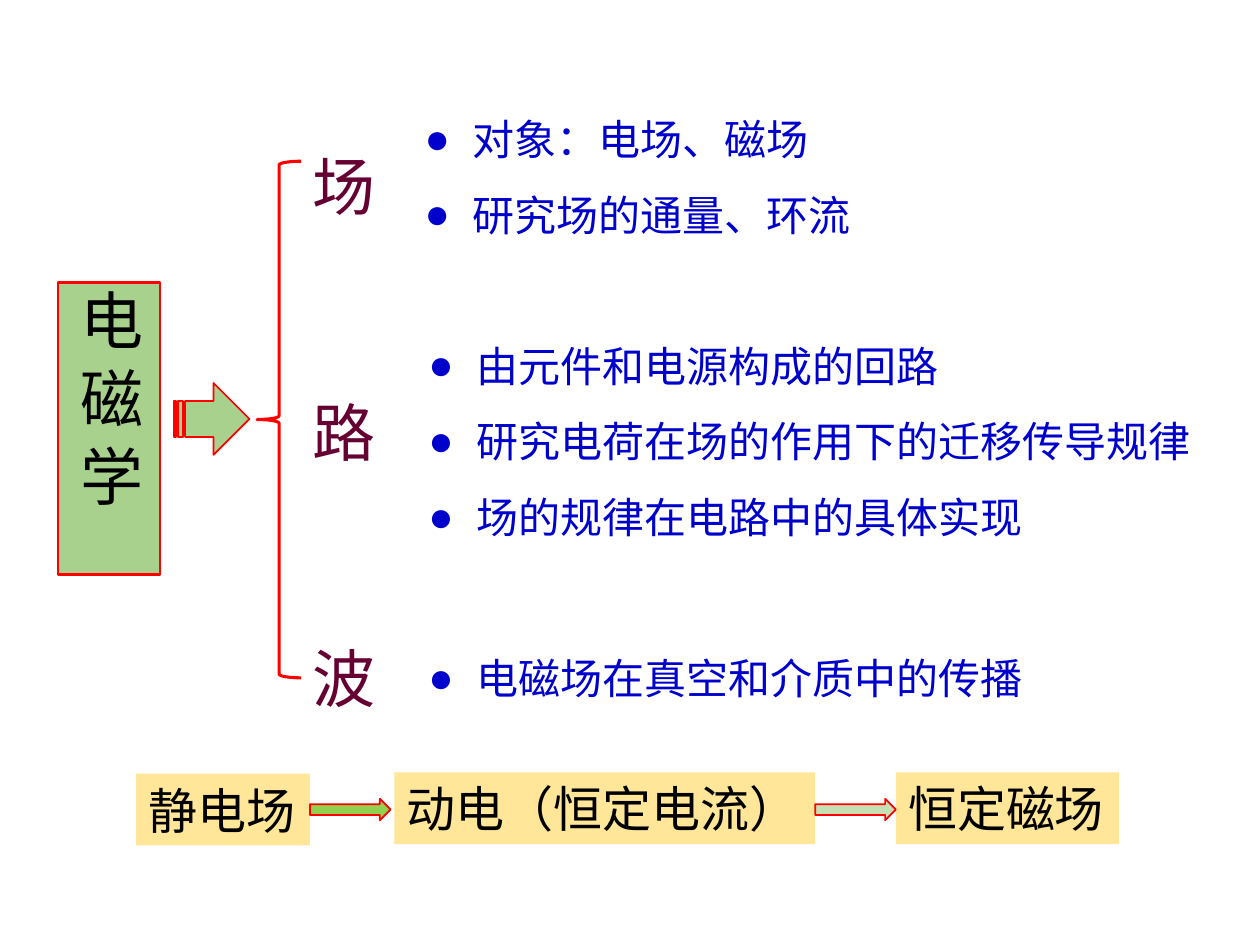
import pptx
import pptx.util
import pptx.dml.color
import pptx.enum.shapes
import pptx.enum.text
import pptx.oxml
import pptx.oxml.ns

FONT = "Noto Sans CJK SC"
COLORS = {
    "list": "0000CC", "branch": "660033", "text": "000000", "outline": "FF0000",
    "subject": "A9D18E", "stage": "FFE699", "first_step": "92D050", "second_step": "C5E0B4",
}
# The slide is a grid of 100 columns by 75 rows
COLUMN = pptx.util.Inches(10) / 100
ROW = pptx.util.Inches(7.5) / 75
SHAPE = pptx.enum.shapes.MSO_SHAPE
ANCHOR = pptx.enum.text.MSO_ANCHOR
LEFT = pptx.enum.text.PP_ALIGN.LEFT


def rgb(name):
    return pptx.dml.color.RGBColor.from_string(COLORS[name])


def cells(left, top, width, height):
    sizes = (left * COLUMN, top * ROW, width * COLUMN, height * ROW)
    return dict(zip(("left", "top", "width", "height"), map(round, sizes)))


def set_all(target, values):
    for key, value in values.items():
        setattr(target, key, value)


def write(shape, lines, size, color, frame_format, paragraph_format):
    frame = shape.text_frame
    frame.text = "\n".join(lines)
    set_all(frame, {"auto_size": pptx.enum.text.MSO_AUTO_SIZE.NONE, **frame_format})
    for paragraph in frame.paragraphs:
        set_all(paragraph, {"alignment": LEFT, "space_before": pptx.util.Pt(0),
                            **paragraph_format})
        for run in paragraph.runs:
            set_all(run.font, {"size": pptx.util.Pt(size), "bold": False, "name": FONT})
            run.font.color.rgb = rgb(color)
            east_asian = pptx.oxml.parse_xml(
                f'<a:ea {pptx.oxml.ns.nsdecls("a")} typeface="{FONT}"/>')
            run.font._element.find(pptx.oxml.ns.qn("a:latin")).addnext(east_asian)
    return frame


def paint(shape, fill=None, line_width=None):
    if fill:
        shape.fill.solid()
        shape.fill.fore_color.rgb = rgb(fill)
    else:
        shape.fill.background()
    if line_width:
        shape.line.color.rgb = rgb("outline")
        shape.line.width = pptx.util.Pt(line_width)
    else:
        shape.line.fill.background()


def add_subject(title):
    set_all(title, cells(4.6, 22.4, 8.1, 23.2))
    paint(title, "subject", 1.5)
    frame = write(title, ["电 磁 学"], 36, "text", {"vertical_anchor": ANCHOR.TOP},
                  {"line_spacing": pptx.util.Pt(43)})
    frame._txBody.bodyPr.set("vert", "eaVert")


def add_branches(body):
    set_all(body, cells(18.8, 7.8, 15.4, 49))
    frame = write(body, ["场", "路", "波"], 36, "branch",
                  {"vertical_anchor": ANCHOR.TOP, "margin_top": pptx.util.Inches(0.27)},
                  {"line_spacing": pptx.util.Pt(52), "space_after": pptx.util.Pt(88.4)})
    for paragraph in frame.paragraphs:
        paragraph._p.get_or_add_pPr().set("marL", str(pptx.util.Inches(0.5)))


def add_topics(body, place, topics):
    set_all(body, cells(*place))
    frame = write(body, topics, 24, "list",
                  {"vertical_anchor": ANCHOR.TOP, "margin_top": pptx.util.Inches(0.09)},
                  {"line_spacing": pptx.util.Pt(43.2)})
    for paragraph in frame.paragraphs:
        properties = paragraph._p.get_or_add_pPr()
        properties.set("marL", str(pptx.util.Inches(1.38)))
        properties.set("indent", str(pptx.util.Inches(-0.38)))
        properties.append(pptx.oxml.parse_xml(
            f'<a:buChar {pptx.oxml.ns.nsdecls("a")} char="●"/>'))


def add_figure(slide, kind, place, fill=None, line_width=None):
    figure = slide.shapes.add_shape(kind, **cells(*place))
    figure.shadow.inherit = False
    paint(figure, fill, line_width)
    return figure


def add_stage(slide, place, name):
    stage = add_figure(slide, SHAPE.RECTANGLE, place, "stage")
    write(stage, [name], 28, "text",
          {"vertical_anchor": ANCHOR.MIDDLE, "word_wrap": False}, {})


def main():
    deck = pptx.Presentation()
    deck.slide_width, deck.slide_height = round(100 * COLUMN), round(75 * ROW)
    # The comparison layout has a title and four bodies
    slide = deck.slides.add_slide(deck.slide_layouts[4])
    subject, field, circuit, branches, wave = slide.placeholders

    # Topics of each branch
    add_topics(field, (22.7, 6.1, 50.5, 12.2), ["对象：电场、磁场", "研究场的通量、环流"])
    add_topics(circuit, (23, 24.1, 76.1, 18.2),
               ["由元件和电源构成的回路", "研究电荷在场的作用下的迁移传导规律",
                "场的规律在电路中的具体实现"])
    add_topics(wave, (23, 48.9, 61.7, 6.1), ["电磁场在真空和介质中的传播"])

    # Order of study along the bottom
    add_stage(slide, (10.8, 61.4, 13.8, 5.7), "静电场")
    add_stage(slide, (31.3, 61.3, 33.4, 5.7), "动电（恒定电流）")
    add_stage(slide, (71.1, 61.3, 17.7, 5.7), "恒定磁场")
    for left, fill in ((24.6, "first_step"), (64.7, "second_step")):
        add_figure(slide, SHAPE.RIGHT_ARROW, (left, 63.4, 6.4, 1.7), fill, 1)

    # Subject and its branches
    add_branches(branches)
    add_figure(slide, SHAPE.STRIPED_RIGHT_ARROW, (13.8, 30.4, 6, 5.7), "subject", 1)
    add_figure(slide, SHAPE.LEFT_BRACE, (20.4, 12.8, 3.5, 41), line_width=1.75)
    add_subject(subject)

    deck.save("out.pptx")


if __name__ == "__main__":
    main()
